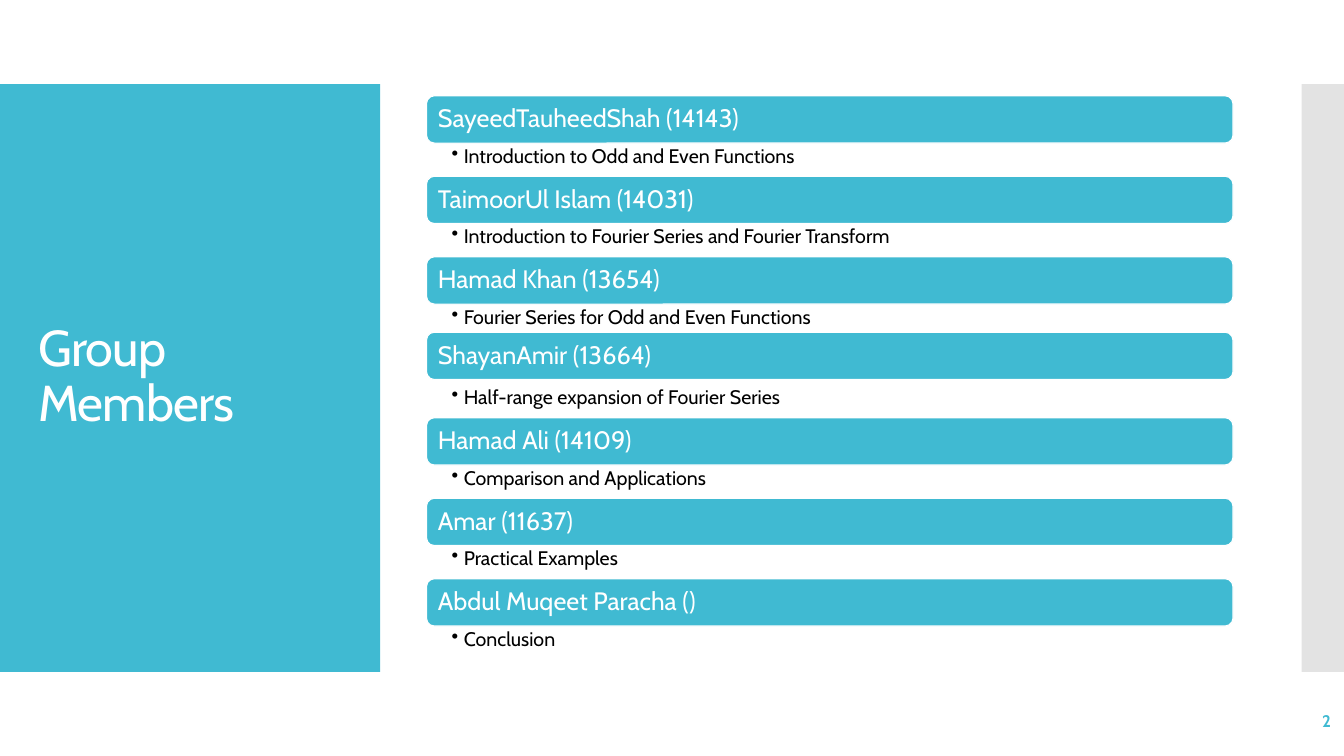
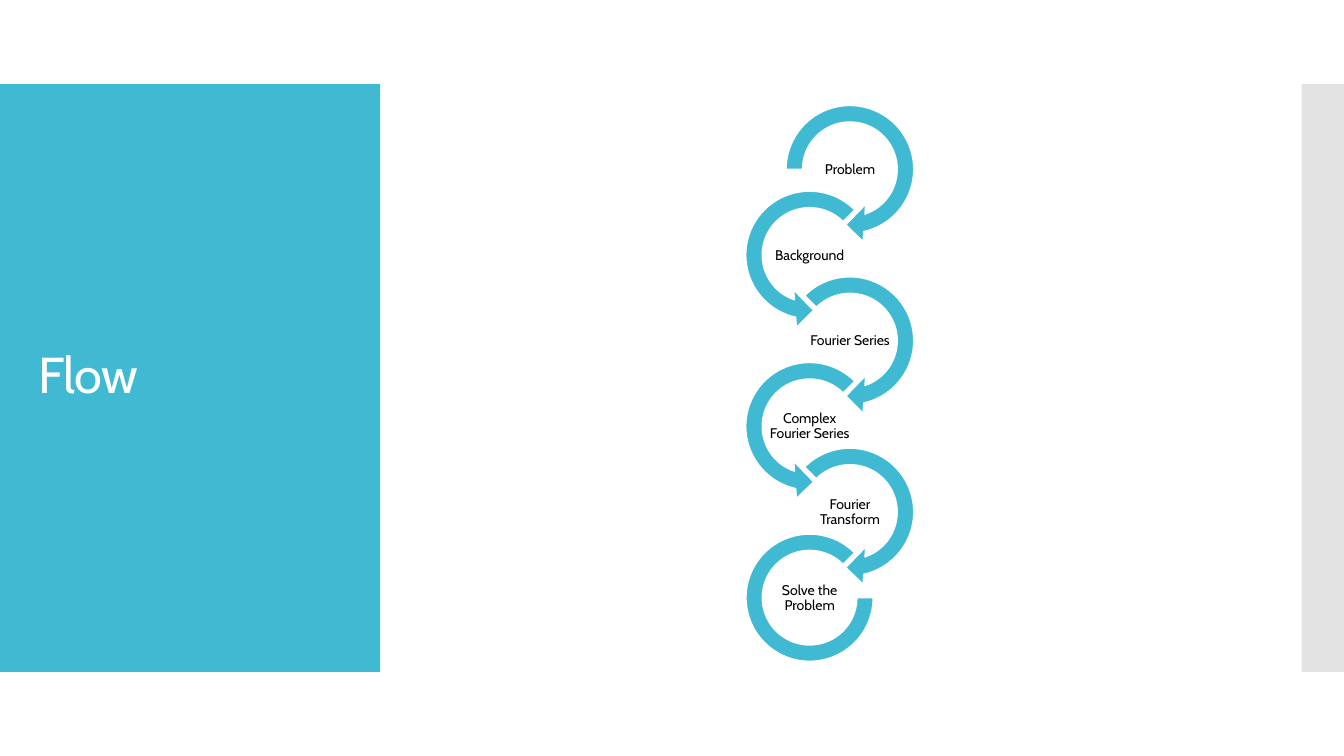
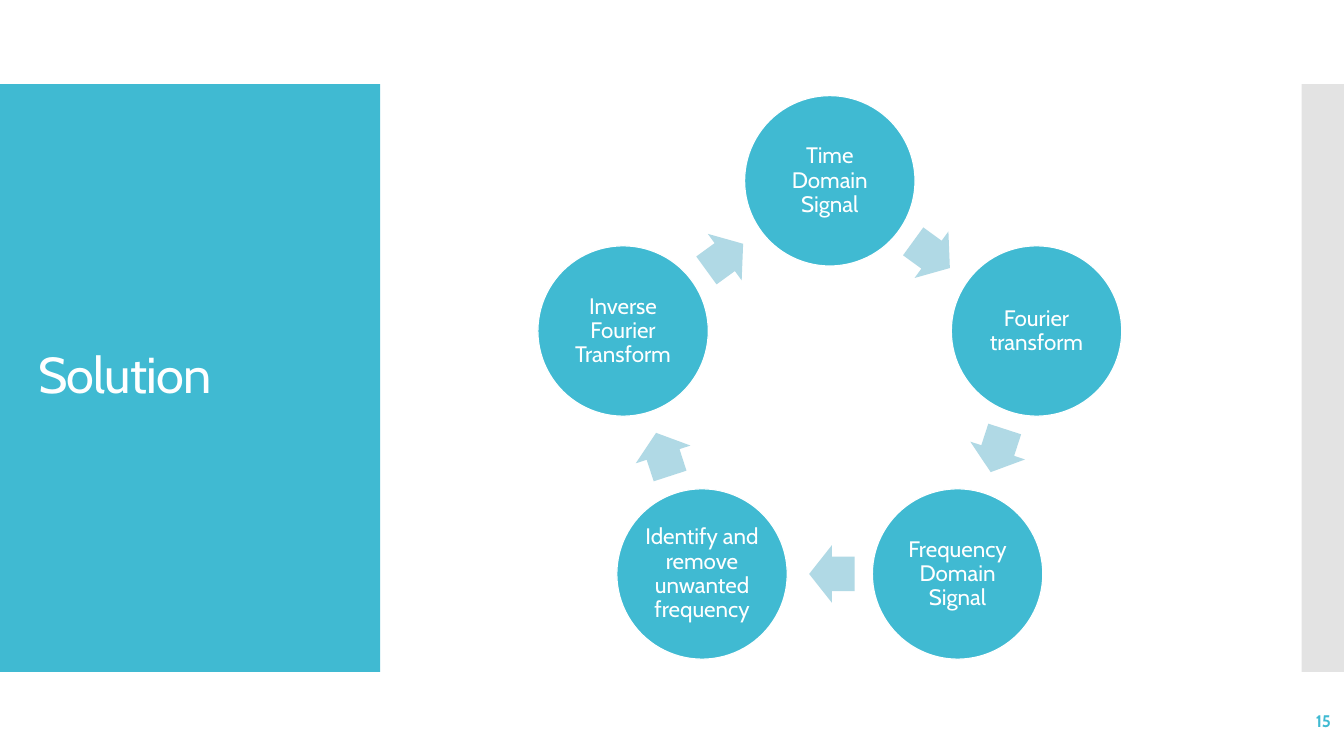
import math

from lxml import etree
from pptx import Presentation
from pptx import util as u
from pptx.dml.color import RGBColor
from pptx.enum import shapes, text
from pptx.oxml.ns import qn

COLOURS = {"accent": "40BAD2", "pale": "B0D9E5", "grey": "C8C8C8",
           "white": "FFFFFF", "black": "000000"}
FONT = "Cabin"
WIDTH, HEIGHT = 13.33, 7.5
BAND_TOP, BAND_HEIGHT = HEIGHT / 9, HEIGHT * 7 / 9
PANEL_WIDTH, STRIP_WIDTH = 3.77, 0.42
# The area that every diagram fills
LEFT, TOP, AREA_WIDTH, AREA_HEIGHT = 4.23, 0.95, 8, 5.59
CENTRE_X = LEFT + AREA_WIDTH / 2

SHAPE = shapes.MSO_SHAPE
ALIGN = text.PP_ALIGN
ANCHOR = text.MSO_ANCHOR

MEMBERS = [  # name, topic, how far the bar sits above its row
    ("SayeedTauheedShah (14143)", "Introduction to Odd and Even Functions", 0),
    ("TaimoorUl Islam (14031)", "Introduction to Fourier Series and Fourier Transform", 0),
    ("Hamad Khan (13654)", "Fourier Series for Odd and Even Functions", 0),
    ("ShayanAmir (13664)", "Half-range expansion of Fourier Series", 0.05),
    ("Hamad Ali (14109)", "Comparison and Applications", 0),
    ("Amar (11637)", "Practical Examples", 0),
    ("Abdul Muqeet Paracha ()", "Conclusion", 0),
]
FLOW_STEPS = ["Problem", "Background", "Fourier Series", "Complex Fourier Series",
              "Fourier Transform", "Solve the Problem"]
CYCLE_STEPS = ["Time Domain Signal", "Fourier transform", "Frequency Domain Signal",
               "Identify and remove unwanted frequency", "Inverse Fourier Transform"]


def colour(name):
    return RGBColor.from_string(COLOURS[name])


def inches(*lengths):
    return [u.Inches(length) for length in lengths]


def write(shape, words, size, ink, align=ALIGN.LEFT, anchor=ANCHOR.MIDDLE,
          insets=(0.1, 0.05, 0.1, 0.05), spacing=0.9, bold=False):
    """Fill a shape with one paragraph; insets run left, top, right, bottom."""
    frame = shape.text_frame
    frame.word_wrap = True
    frame.auto_size = text.MSO_AUTO_SIZE.NONE
    frame.vertical_anchor = anchor
    (frame.margin_left, frame.margin_top,
     frame.margin_right, frame.margin_bottom) = inches(*insets)
    para = frame.paragraphs[0]
    para.alignment = align
    para.line_spacing = spacing
    span = para.add_run()
    span.text = words
    span.font.name = FONT
    span.font.size = u.Pt(size)
    span.font.bold = bold
    span.font.color.rgb = colour(ink)
    return para


def add_label(page, box, words, size, ink, **style):
    label = page.shapes.add_textbox(*inches(*box))
    return write(label, words, size, ink, **style)


def add_block(page, kind, box, fill="accent", outlined=True, adjustments=()):
    block = page.shapes.add_shape(kind, *inches(*box))
    block.shadow.inherit = False
    block.fill.solid()
    block.fill.fore_color.rgb = colour(fill)
    if outlined:
        block.line.color.rgb = colour("white")
        block.line.width = u.Pt(0.85)
    else:
        block.line.fill.background()
    for index, value in enumerate(adjustments):
        block.adjustments[index] = value
    return block


def square(x, y, size):
    """Box of a square centred on x, y."""
    return x - size / 2, y - size / 2, size, size


def add_bands(page):
    """Draw the two side bands and move them to the layout all slides share."""
    panel = add_block(page, SHAPE.RECTANGLE,
                      (0, BAND_TOP, PANEL_WIDTH, BAND_HEIGHT), outlined=False)
    strip = add_block(page, SHAPE.RECTANGLE,
                      (WIDTH - STRIP_WIDTH, BAND_TOP, STRIP_WIDTH, BAND_HEIGHT),
                      "grey", outlined=False)
    tint = strip.element.spPr.find(qn("a:solidFill"))[0]
    etree.SubElement(tint, qn("a:alpha"), val="50000")
    for band in (panel, strip):
        page.slide_layout.shapes.element.insert(2, band.element)


def add_page(deck, heading, number=None):
    page = deck.slides.add_slide(deck.slide_layouts[5])
    title = page.shapes.title
    title.left, title.top, title.width, title.height = inches(0.28, 1.23, 3.22, 5.03)
    para = write(title, heading, 36, "white")
    para.runs[0].font._element.set("spc", "-60")
    if number:
        add_label(page, (11.63, 6.95, 1.67, 0.4), number, 12, "accent",
                  align=ALIGN.RIGHT, spacing=1, bold=True)
    return page


def add_bullet(para, indent):
    properties = para._p.get_or_add_pPr()
    properties.set("marL", str(u.Inches(indent)))
    properties.set("indent", str(-u.Inches(indent)))
    etree.SubElement(properties, qn("a:buChar"), char="•")


def draw_members(page):
    row = AREA_HEIGHT / len(MEMBERS)
    bar_height, topic_height = 0.47, 0.33
    for index, (name, topic, lift) in enumerate(MEMBERS):
        top = TOP + index * row
        bar = add_block(page, SHAPE.ROUNDED_RECTANGLE,
                        (LEFT, top - lift, AREA_WIDTH, bar_height))
        write(bar, name, 18, "white", insets=(0.09, 0.07, 0.09, 0.07))
        para = add_label(page, (LEFT, top + bar_height, AREA_WIDTH, topic_height),
                         topic, 14, "black", anchor=ANCHOR.TOP,
                         insets=(0.25, 0.03, 0.14, 0.03))
        add_bullet(para, 0.12)


def draw_flow(page):
    """Chain of arrows that swing right and left in turn, closed by an arc."""
    first_y, step, swing = 1.68, 0.85, 0.2
    ring, arc = 1.47, 1.26
    for index, words in enumerate(FLOW_STEPS):
        y = first_y + index * step
        turns_right = index % 2 == 0
        x = CENTRE_X + (swing if turns_right else -swing)
        # Angle adjustments are in units of 5/3 degree
        if index == len(FLOW_STEPS) - 1:
            kind, size, adjustments = SHAPE.BLOCK_ARC, arc, (0, 189, 0.127)
        elif turns_right:
            start = 135 if index else 108
            kind, size = SHAPE.CIRCULAR_ARROW, ring
            adjustments = (0.11, 11.423, 45, start, 0.125)
        else:
            kind, size = SHAPE.LEFT_CIRCULAR_ARROW, ring
            adjustments = (0.11, 11.423, 63, 189, 0.125)
        add_block(page, kind, square(x, y, size), adjustments=adjustments)
        add_label(page, (x - 0.41, y - 0.2, 0.82, 0.41), words, 10, "black",
                  align=ALIGN.CENTER, insets=(0.01,) * 4)


def draw_cycle(page):
    """Circles on a ring, with an arrow halfway between neighbours."""
    centre_y, radius, circle = 3.95, 2.156, 1.69
    arrow_width, arrow_height, setback = 0.45, 0.57, 0.02
    turn = 360 / len(CYCLE_STEPS)
    for index, words in enumerate(CYCLE_STEPS):
        angle = math.radians(index * turn)
        disc = add_block(page, SHAPE.OVAL,
                         square(CENTRE_X + radius * math.sin(angle),
                                centre_y - radius * math.cos(angle), circle))
        write(disc, words, 16, "white", align=ALIGN.CENTER, insets=(0.02,) * 4)

        heading = (index + 0.5) * turn
        angle = math.radians(heading)
        reach = radius * math.cos(math.radians(turn / 2))
        x = CENTRE_X + reach * math.sin(angle) - setback * math.cos(angle)
        y = centre_y - reach * math.cos(angle) - setback * math.sin(angle)
        arrow = add_block(page, SHAPE.RIGHT_ARROW,
                          (x - arrow_width / 2, y - arrow_height / 2,
                           arrow_width, arrow_height),
                          "pale", outlined=False, adjustments=(0.6, 0.5))
        arrow.rotation = heading


def main():
    deck = Presentation()
    deck.slide_width, deck.slide_height = inches(WIDTH, HEIGHT)
    members = add_page(deck, "Group Members", "2")
    add_bands(members)
    draw_members(members)
    draw_flow(add_page(deck, "Flow"))
    draw_cycle(add_page(deck, "Solution", "15"))
    deck.save("out.pptx")


if __name__ == "__main__":
    main()
